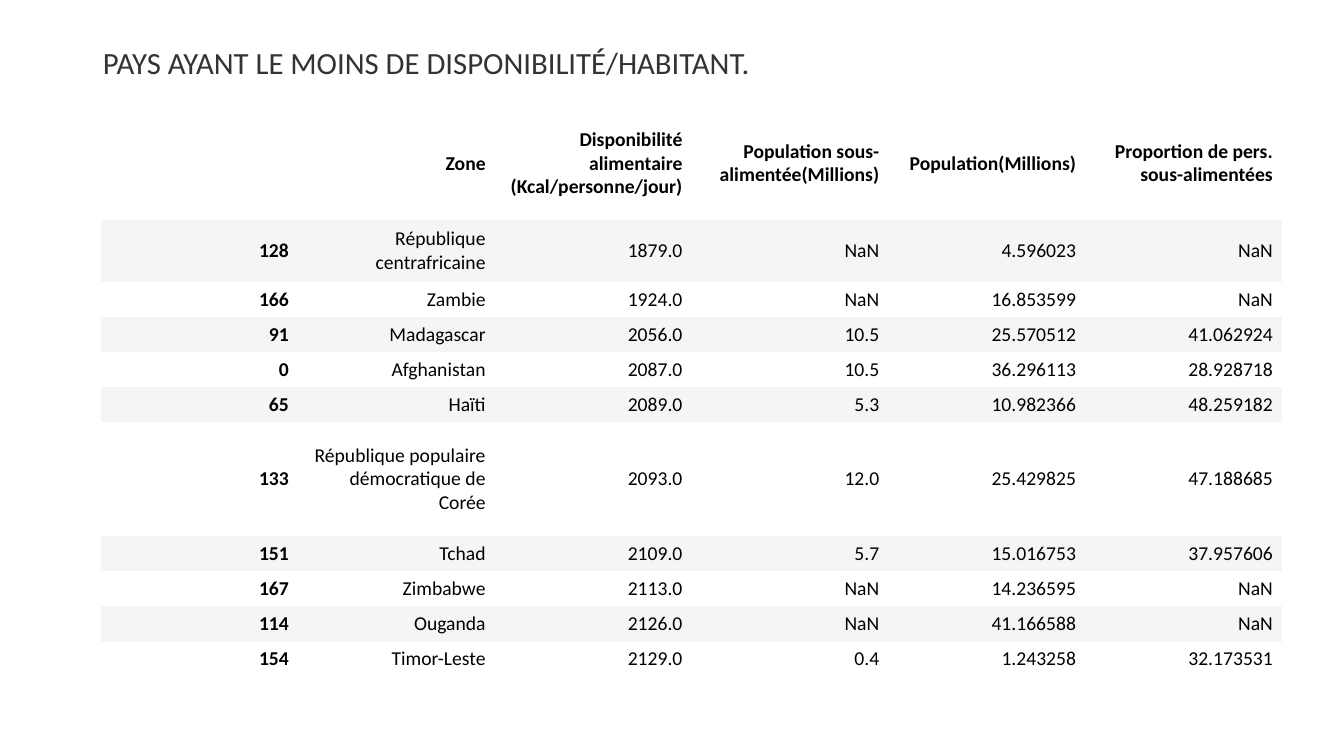
from pptx import Presentation
from pptx.dml.color import RGBColor
from pptx.enum.text import MSO_ANCHOR, MSO_AUTO_SIZE, PP_ALIGN
from pptx.util import Cm, Pt

MIDDLE = MSO_ANCHOR.MIDDLE
NO_AUTOFIT = MSO_AUTO_SIZE.NONE
LEFT, RIGHT = PP_ALIGN.LEFT, PP_ALIGN.RIGHT

TITLE = "PAYS AYANT LE MOINS DE DISPONIBILITÉ/HABITANT."
HEADER = (
    "", "Zone", "Disponibilité alimentaire (Kcal/personne/jour)",
    "Population sous-alimentée(Millions)", "Population(Millions)",
    "Proportion de pers. sous-alimentées",
)
COUNTRIES = [
    ("128", "République centrafricaine", "1879.0", "NaN", "4.596023", "NaN"),
    ("166", "Zambie", "1924.0", "NaN", "16.853599", "NaN"),
    ("91", "Madagascar", "2056.0", "10.5", "25.570512", "41.062924"),
    ("0", "Afghanistan", "2087.0", "10.5", "36.296113", "28.928718"),
    ("65", "Haïti", "2089.0", "5.3", "10.982366", "48.259182"),
    ("133", "République populaire démocratique de Corée", "2093.0", "12.0",
     "25.429825", "47.188685"),
    ("151", "Tchad", "2109.0", "5.7", "15.016753", "37.957606"),
    ("167", "Zimbabwe", "2113.0", "NaN", "14.236595", "NaN"),
    ("114", "Ouganda", "2126.0", "NaN", "41.166588", "NaN"),
    ("154", "Timor-Leste", "2129.0", "0.4", "1.243258", "32.173531"),
]
COLORS = {"title": "333333", "text": "000000", "plain": "FFFFFF", "band": "F5F5F5"}
FONT = "Calibri"
ONE_LINE, TWO_LINES, THREE_LINES = 0.885, 1.55, 2.87
TALL_ROWS = {0: THREE_LINES, 1: TWO_LINES, 6: THREE_LINES}
COLUMN_WIDTH = 4.96
NO_GRID_STYLE = "{2D5ABB26-0587-4C30-8999-92F81FD0307C}"


def format_paragraph(paragraph, size, color, alignment, bold=False):
    paragraph.alignment = alignment
    for run in paragraph.runs:
        run.font.name = FONT
        run.font.size = Pt(size)
        run.font.bold = bold
        run.font.color.rgb = RGBColor.from_string(COLORS[color])


def add_title(slide):
    title = slide.shapes.title
    title.left, title.top, title.width, title.height = Cm(2.34), Cm(1.02), Cm(29.2), Cm(1.22)
    frame = title.text_frame
    frame.text = TITLE
    frame.auto_size = NO_AUTOFIT
    frame.vertical_anchor = MIDDLE
    paragraph = frame.paragraphs[0]
    paragraph.line_spacing = 0.9
    format_paragraph(paragraph, 22, "title", LEFT)


def fill_cell(cell, text, background, bold):
    cell.fill.solid()
    cell.fill.fore_color.rgb = RGBColor.from_string(COLORS[background])
    cell.vertical_anchor = MIDDLE
    cell.margin_left = cell.margin_right = Cm(0.23)
    cell.margin_top = cell.margin_bottom = Cm(0.11)
    cell.text_frame.text = text
    format_paragraph(cell.text_frame.paragraphs[0], 14, "text", RIGHT, bold)


def add_country_table(slide):
    rows = [HEADER, *COUNTRIES]
    heights = [TALL_ROWS.get(index, ONE_LINE) for index in range(len(rows))]
    frame = slide.shapes.add_table(
        len(rows), len(HEADER), Cm(2.55), Cm(2.68),
        Cm(COLUMN_WIDTH * len(HEADER)), Cm(sum(heights)))
    table = frame.table
    table._tbl.tblPr[0].text = NO_GRID_STYLE
    for column in table.columns:
        column.width = Cm(COLUMN_WIDTH)
    for row_index, values in enumerate(rows):
        table.rows[row_index].height = Cm(heights[row_index])
        background = "band" if row_index % 2 else "plain"
        for column_index, text in enumerate(values):
            bold = row_index == 0 or column_index == 0
            fill_cell(table.cell(row_index, column_index), text, background, bold)


def main():
    presentation = Presentation()
    presentation.slide_width, presentation.slide_height = Cm(33.87), Cm(19.05)
    slide = presentation.slides.add_slide(presentation.slide_layouts[5])
    add_title(slide)
    add_country_table(slide)
    presentation.save("out.pptx")


if __name__ == "__main__":
    main()
